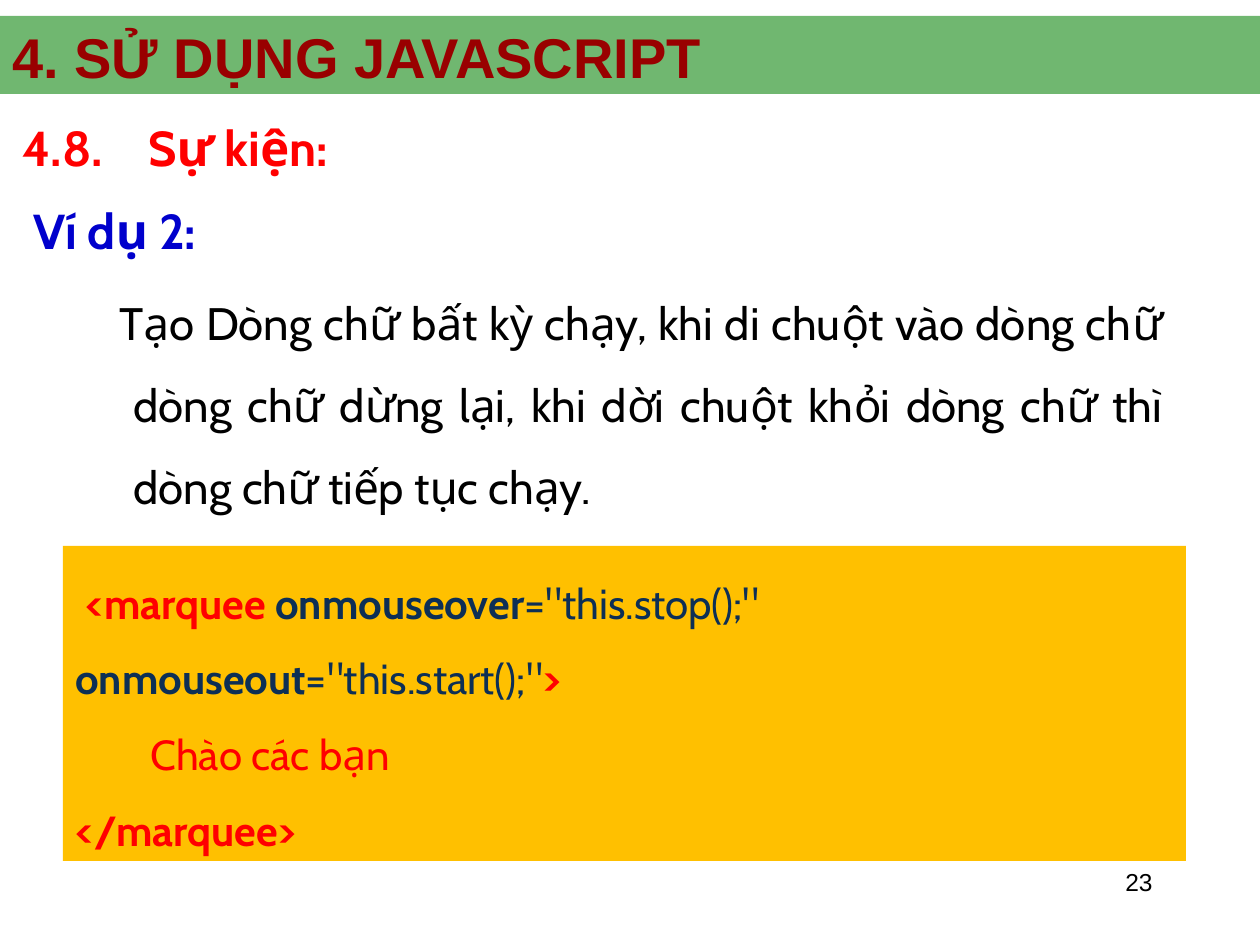
from dataclasses import dataclass

import pptx
import pptx.dml.color
import pptx.enum.shapes
import pptx.enum.text
import pptx.oxml.ns
import pptx.util
from lxml import etree

PX = 914400 / 126
COLORS = {
    "green": "008000",
    "amber": "FFC000",
    "maroon": "990000",
    "red": "FF0000",
    "blue": "0000CC",
    "navy": "0D2F55",
    "black": "000000",
}
ALIGN = pptx.enum.text.PP_ALIGN
ANCHOR = pptx.enum.text.MSO_ANCHOR


@dataclass(frozen=True)
class Box:
    left: int
    top: int
    width: int
    height: int


@dataclass(frozen=True)
class Run:
    text: str
    color: str
    bold: bool = False


@dataclass(frozen=True)
class Para:
    runs: tuple[Run, ...]
    align: ALIGN = ALIGN.LEFT
    spacing: float = 1.0
    margin: int = 0
    indent: int = 0


@dataclass(frozen=True)
class TextBlock:
    box: Box
    paras: tuple[Para, ...]
    size: int
    font: str = "Cabin"
    anchor: ANCHOR = ANCHOR.TOP


def px(value: int) -> int:
    return round(value * PX)


def emu(box: Box) -> tuple[int, ...]:
    return tuple(px(v) for v in (box.left, box.top, box.width, box.height))


def rgb(name: str) -> pptx.dml.color.RGBColor:
    return pptx.dml.color.RGBColor.from_string(COLORS[name])


def add_rect(slide, box: Box, color: str, alpha: int = 100):
    sp = slide.shapes.add_shape(pptx.enum.shapes.MSO_SHAPE.RECTANGLE, *emu(box))
    sp.shadow.inherit = False
    sp.fill.solid()
    sp.fill.fore_color.rgb = rgb(color)
    sp.line.fill.background()
    if alpha < 100:
        clr = sp.fill._xPr.find(".//" + pptx.oxml.ns.qn("a:srgbClr"))
        etree.SubElement(clr, pptx.oxml.ns.qn("a:alpha"), val=str(alpha * 1000))
    return sp


def write_text(sp, block: TextBlock) -> None:
    tf = sp.text_frame
    tf.word_wrap = True
    tf.vertical_anchor = block.anchor
    for i, para in enumerate(block.paras):
        p = tf.add_paragraph() if i else tf.paragraphs[0]
        p.alignment = para.align
        p.line_spacing = para.spacing
        pPr = p._p.get_or_add_pPr()
        pPr.set("marL", str(px(para.margin)))
        pPr.set("indent", str(px(para.indent)))
        for run in para.runs:
            r = p.add_run()
            r.text = run.text
            r.font.name = block.font
            r.font.size = pptx.util.Pt(block.size)
            r.font.bold = run.bold
            r.font.color.rgb = rgb(run.color)


BAR = Box(0, 16, 1260, 78)

TEXTS = (
    TextBlock(Box(903, 861, 262, 63),
              (Para((Run("23", "black"),), ALIGN.RIGHT),), 14, "Arial"),
    TextBlock(Box(0, 30, 1260, 53),
              (Para((Run("4. SỬ DỤNG JAVASCRIPT", "maroon", True),)),),
              32, "Arial", ANCHOR.MIDDLE),
    TextBlock(Box(10, 105, 1197, 84),
              (Para((Run("4.8.\tSự kiện:", "red", True),)),),
              28, anchor=ANCHOR.MIDDLE),
    TextBlock(Box(21, 198, 1197, 64),
              (Para((Run("Ví dụ 2:", "blue", True),)),),
              28, anchor=ANCHOR.MIDDLE),
    TextBlock(Box(73, 262, 1103, 242),
              (Para((Run("Tạo Dòng chữ bất kỳ chạy, khi di chuột vào dòng chữ "
                         "dòng chữ dừng lại, khi dời chuột khỏi dòng chữ thì "
                         "dòng chữ tiếp tục chạy.", "black"),),
                    ALIGN.JUSTIFY, 1.5, 48, -14),), 26),
)

CODE = TextBlock(
    Box(63, 546, 1123, 315),
    (
        Para((
            Run("<marquee ", "red", True),
            Run("onmouseover", "navy", True),
            Run('="this.stop();" ', "navy"),
            Run("onmouseout", "navy", True),
            Run('="this.start();"', "navy"),
            Run(">", "red", True),
        ), spacing=1.5, indent=10),
        Para((Run("Chào các bạn", "red"),), spacing=1.5, margin=75),
        Para((Run("</marquee>", "red", True),), spacing=1.5),
    ),
    24,
)


def main() -> None:
    prs = pptx.Presentation()
    prs.slide_width, prs.slide_height = px(1260), px(945)
    slide = prs.slides.add_slide(prs.slide_layouts[6])
    add_rect(slide, BAR, "green", 56)
    for block in TEXTS:
        write_text(slide.shapes.add_textbox(*emu(block.box)), block)
    sp = add_rect(slide, CODE.box, "amber")
    write_text(sp, CODE)
    sp.text_frame.auto_size = pptx.enum.text.MSO_AUTO_SIZE.SHAPE_TO_FIT_TEXT
    prs.save("out.pptx")


if __name__ == "__main__":
    main()
